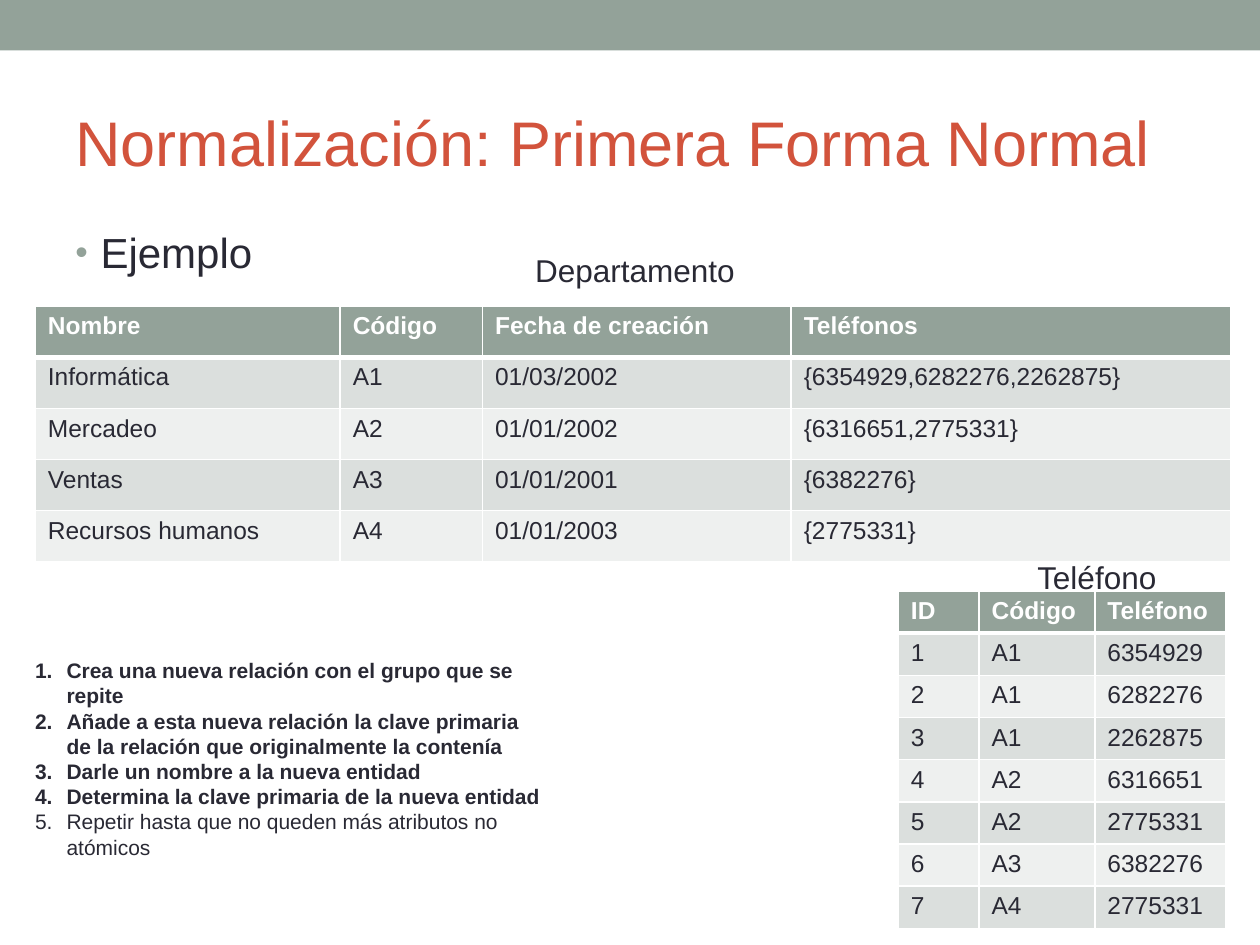
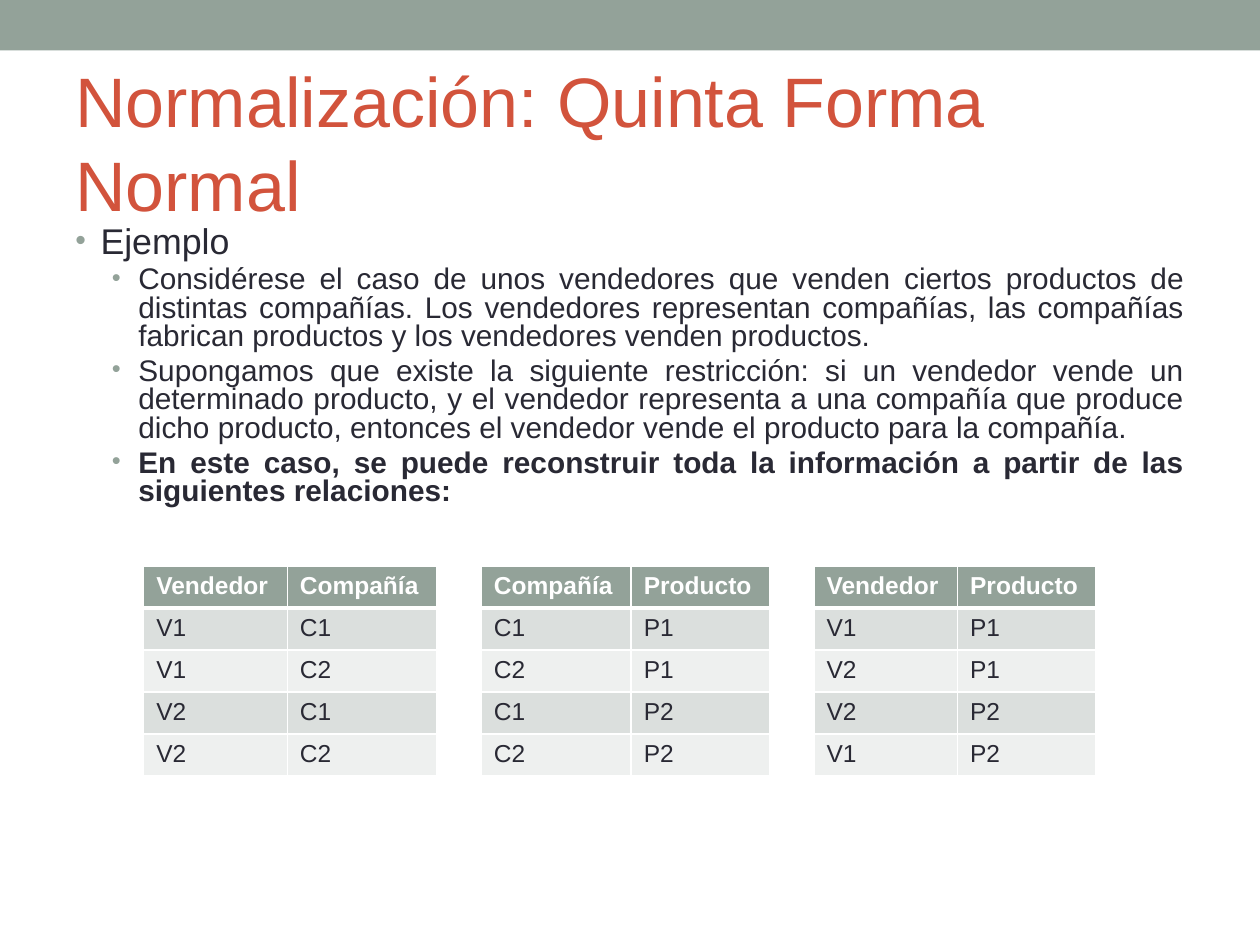
from dataclasses import dataclass

from lxml import etree
from pptx import Presentation
from pptx.dml.color import RGBColor
from pptx.enum.shapes import MSO_SHAPE
from pptx.enum.text import MSO_ANCHOR, PP_ALIGN
from pptx.oxml.ns import qn
from pptx.util import Inches, Pt

RECT = MSO_SHAPE.RECTANGLE
TOP, MIDDLE = MSO_ANCHOR.TOP, MSO_ANCHOR.MIDDLE
LEFT, CENTER, JUSTIFY = PP_ALIGN.LEFT, PP_ALIGN.CENTER, PP_ALIGN.JUSTIFY

FONT = "Arial"
SAGE, RUST, INK, WHITE = "93A299", "D2533C", "292934", "FFFFFF"
STRIPES = ("DBDFDD", "EEF0EF")
TABLE_SIZE = 14


@dataclass
class Box:
    left: float
    top: float
    width: float
    height: float

    def emu(self) -> tuple:
        return tuple(Inches(v) for v in (self.left, self.top, self.width, self.height))


@dataclass
class Bullet:
    indent: float
    hanging: float
    color: str = SAGE
    percent: int = 85
    numbered: bool = False


@dataclass
class Para:
    text: str
    size: float
    color: str = INK
    bold: bool = False
    align: PP_ALIGN = LEFT
    bullet: Bullet | None = None
    level: int = 0
    line_spacing: float | None = None
    space_before: float = 0


@dataclass
class Grid:
    left: float
    top: float
    height: float
    widths: list[float]
    rows: list[tuple[str, ...]]


TITLE_BOX = Box(0.5, 0.58, 9, 1.08)
TOP_BULLET = Bullet(0.2, 0.2)
SUB_BULLET = Bullet(0.5, 0.21)
STEP_NUMBER = Bullet(0.25, 0.25, INK, 100, numbered=True)


def rgb(color: str) -> RGBColor:
    return RGBColor.from_string(color)


def add_bullet(p, bullet: Bullet) -> None:
    pPr = p._p.get_or_add_pPr()
    pPr.set("marL", str(Inches(bullet.indent)))
    pPr.set("indent", str(-Inches(bullet.hanging)))
    clr = etree.SubElement(pPr, qn("a:buClr"))
    etree.SubElement(clr, qn("a:srgbClr"), val=bullet.color)
    etree.SubElement(pPr, qn("a:buSzPct"), val=str(bullet.percent * 1000))
    etree.SubElement(pPr, qn("a:buFont"), typeface=FONT)
    if bullet.numbered:
        etree.SubElement(pPr, qn("a:buAutoNum"), type="arabicPeriod")
    else:
        etree.SubElement(pPr, qn("a:buChar"), char="•")


def fill_paragraph(p, para: Para) -> None:
    if para.bullet:
        add_bullet(p, para.bullet)
    p.alignment = para.align
    p.level = para.level
    if para.line_spacing:
        p.line_spacing = para.line_spacing
    if para.space_before:
        p.space_before = Pt(para.space_before)
    r = p.add_run()
    r.text = para.text
    r.font.name = FONT
    r.font.size = Pt(para.size)
    r.font.bold = para.bold
    r.font.color.rgb = rgb(para.color)


def add_text(s, box: Box, paras: list[Para], anchor: MSO_ANCHOR = TOP) -> None:
    tf = s.shapes.add_textbox(*box.emu()).text_frame
    tf.word_wrap = True
    tf.vertical_anchor = anchor
    for i, para in enumerate(paras):
        p = tf.add_paragraph() if i else tf.paragraphs[0]
        fill_paragraph(p, para)


def set_borders(cell, top: float, bottom: float) -> None:
    """Give the cell white borders; widths are in points, the sides being 1."""
    tcPr = cell._tc.get_or_add_tcPr()
    for i, (side, width) in enumerate((("L", 1), ("R", 1), ("T", top), ("B", bottom))):
        ln = etree.Element(qn(f"a:ln{side}"), w=str(Pt(width)))
        fill = etree.SubElement(ln, qn("a:solidFill"))
        etree.SubElement(fill, qn("a:srgbClr"), val=WHITE)
        tcPr.insert(i, ln)


def add_grid(s, grid: Grid) -> None:
    box = Box(grid.left, grid.top, sum(grid.widths), grid.height)
    table = s.shapes.add_table(len(grid.rows), len(grid.widths), *box.emu()).table
    for column, width in zip(table.columns, grid.widths):
        column.width = Inches(width)
    for i, row in enumerate(grid.rows):
        header = i == 0
        for j, text in enumerate(row):
            cell = table.cell(i, j)
            cell.fill.solid()
            cell.fill.fore_color.rgb = rgb(SAGE if header else STRIPES[(i - 1) % 2])
            set_borders(cell, top=3 if i == 1 else 1, bottom=3 if header else 1)
            para = Para(text, TABLE_SIZE, WHITE if header else INK, bold=header)
            fill_paragraph(cell.text_frame.paragraphs[0], para)


def add_slide(prs, title: str, title_size: float):
    """Add a blank slide with the top band and the title."""
    s = prs.slides.add_slide(prs.slide_layouts[6])
    band = s.shapes.add_shape(RECT, *Box(0, 0, 10, 0.4).emu())
    band.shadow.inherit = False
    band.fill.solid()
    band.fill.fore_color.rgb = rgb(SAGE)
    band.line.fill.background()
    add_text(s, TITLE_BOX, [Para(title, title_size, RUST)], MIDDLE)
    return s


def first_normal_form(prs) -> None:
    s = add_slide(prs, "Normalización: Primera Forma Normal", 36)
    add_text(s, Box(0.5, 1.75, 9, 5.33),
             [Para("Ejemplo", 24, align=JUSTIFY, bullet=TOP_BULLET)])

    add_grid(s, Grid(0.28, 2.43, 2.03, [2.42, 1.13, 2.45, 3.49], [
        ("Nombre", "Código", "Fecha de creación", "Teléfonos"),
        ("Informática", "A1", "01/03/2002", "{6354929,6282276,2262875}"),
        ("Mercadeo", "A2", "01/01/2002", "{6316651,2775331}"),
        ("Ventas", "A3", "01/01/2001", "{6382276}"),
        ("Recursos humanos", "A4", "01/01/2003", "{2775331}"),
    ]))
    add_text(s, Box(3.74, 1.94, 2.6, 0.4), [Para("Departamento", 18, align=CENTER)])

    done_steps = [
        "Crea una nueva relación con el grupo que se repite",
        "Añade a esta nueva relación la clave primaria de la relación que "
        "originalmente la contenía",
        "Darle un nombre a la nueva entidad",
        "Determina la clave primaria de la nueva entidad",
    ]
    steps = [Para(t, 12, bold=True, bullet=STEP_NUMBER, level=1) for t in done_steps]
    steps.append(Para("Repetir hasta que no queden más atributos no atómicos", 12,
                      bullet=STEP_NUMBER, level=1))
    add_text(s, Box(0.18, 5.17, 4.25, 1.72), steps)

    add_grid(s, Grid(7.13, 4.69, 2.68, [0.64, 0.92, 1.04], [
        ("ID", "Código", "Teléfono"),
        ("1", "A1", "6354929"),
        ("2", "A1", "6282276"),
        ("3", "A1", "2262875"),
        ("4", "A2", "6316651"),
        ("5", "A2", "2775331"),
        ("6", "A3", "6382276"),
        ("7", "A4", "2775331"),
    ]))
    add_text(s, Box(7.68, 4.38, 2.05, 0.4), [Para("Teléfono", 18, align=CENTER)])


def fifth_normal_form(prs) -> None:
    s = add_slide(prs, "Normalización: Quinta Forma Normal", 40)
    details = [
        "Considérese el caso de unos vendedores que venden ciertos productos de "
        "distintas compañías. Los vendedores representan compañías, las compañías "
        "fabrican productos y los vendedores venden productos.",
        "Supongamos que existe la siguiente restricción: si un vendedor vende un "
        "determinado producto, y el vendedor representa a una compañía que produce "
        "dicho producto, entonces el vendedor vende el producto para la compañía.",
        "En este caso, se puede reconstruir toda la información a partir de las "
        "siguientes relaciones:",
    ]
    paras = [Para("Ejemplo", 20.4, align=JUSTIFY, bullet=TOP_BULLET, line_spacing=0.8)]
    paras += [Para(t, 17, bold=t is details[-1], align=JUSTIFY, bullet=SUB_BULLET,
                   level=1, line_spacing=0.8, space_before=3.4) for t in details]
    add_text(s, Box(0.5, 1.75, 9, 2.47), paras)

    column_widths = {"Vendedor": 1.14, "Compañía": 1.19, "Producto": 1.1}
    relations = [
        [("Vendedor", "Compañía"),
         ("V1", "C1"), ("V1", "C2"), ("V2", "C1"), ("V2", "C2")],
        [("Compañía", "Producto"),
         ("C1", "P1"), ("C2", "P1"), ("C1", "P2"), ("C2", "P2")],
        [("Vendedor", "Producto"),
         ("V1", "P1"), ("V2", "P1"), ("V2", "P2"), ("V1", "P2")],
    ]
    left, gap = 1.14, 0.35
    for rows in relations:
        widths = [column_widths[name] for name in rows[0]]
        add_grid(s, Grid(left, 4.49, 1.6, widths, rows))
        left += sum(widths) + gap


def main() -> None:
    prs = Presentation()
    prs.slide_width, prs.slide_height = Inches(10), Inches(7.5)
    first_normal_form(prs)
    fifth_normal_form(prs)
    prs.save("out.pptx")


if __name__ == "__main__":
    main()
